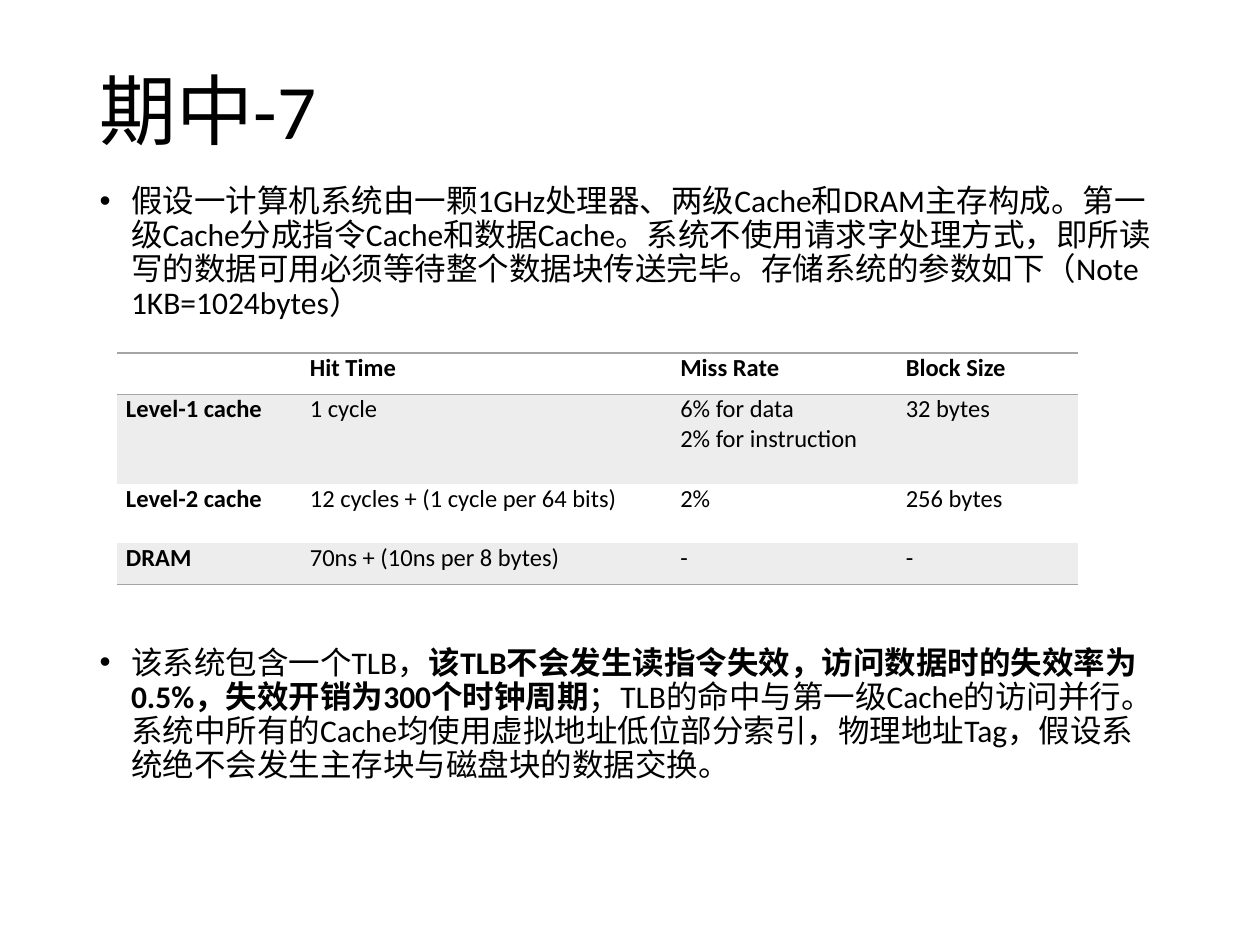
from lxml import etree
from pptx import Presentation
from pptx import util as u
from pptx.dml import color
from pptx.enum import text
from pptx.oxml import ns

FONT = "Calibri"
INK, GREY, BAND = "000000", "A5A5A5", "EDEDED"
INTRO = [
    ("假设一计算机系统由一颗1GHz处理器、两级Cache和DRAM主存构成。"
     "第一级Cache分成指令Cache和数据Cache。系统不使用请求字处理方式，"
     "即所读写的数据可用必须等待整个数据块传送完毕。"
     "存储系统的参数如下（Note 1KB=1024bytes）", False),
]
NOTES = [
    ("该系统包含一个TLB，", False),
    ("该TLB不会发生读指令失效，访问数据时的失效率为0.5%，"
     "失效开销为300个时钟周期", True),
    ("；TLB的命中与第一级Cache的访问并行。系统中所有的Cache均使用"
     "虚拟地址低位部分索引，物理地址Tag，"
     "假设系统绝不会发生主存块与磁盘块的数据交换。", False),
]
ROWS = [
    ["", "Hit Time", "Miss Rate", "Block Size"],
    ["Level-1 cache", "1 cycle", "6% for data\n2% for instruction", "32 bytes"],
    ["Level-2 cache", "12 cycles + (1 cycle per 64 bits)", "2%", "256 bytes"],
    ["DRAM", "70ns + (10ns per 8 bytes)", "-", "-"],
]
WIDTHS = [1.46, 2.94, 1.79, 1.44]
HEIGHTS = [0.33, 0.71, 0.47, 0.33]
RULED = {0, 1, len(ROWS)}


def rgb(code):
    return color.RGBColor.from_string(code)


def write(para, words, size=18, bold=False, ink=INK):
    run = para.add_run()
    run.text = words
    font = run.font
    font.name, font.size, font.bold = FONT, u.Pt(size), bold
    font.color.rgb = rgb(ink)


def place(shape, box):
    shape.left, shape.top, shape.width, shape.height = map(u.Inches, box)


def title(shape, box):
    place(shape, box)
    frame = shape.text_frame
    frame.auto_size = text.MSO_AUTO_SIZE.NONE
    frame.vertical_anchor = text.MSO_ANCHOR.MIDDLE
    para = frame.paragraphs[0]
    para.alignment = text.PP_ALIGN.LEFT
    para.line_spacing = 0.9
    write(para, "期中-7", size=44)


def body(shape, box):
    place(shape, box)
    frame = shape.text_frame
    frame.auto_size = text.MSO_AUTO_SIZE.NONE
    paras = [frame.paragraphs[0], frame.add_paragraph()]
    for para, parts, gap in zip(paras, [INTRO, NOTES], [10, 186]):
        para.line_spacing = 0.9
        para.space_before = u.Pt(gap)
        props = para._p.get_or_add_pPr()
        props.set("marL", str(u.Inches(0.25)))
        props.set("indent", str(u.Inches(-0.25)))
        for words, bold in parts:
            write(para, words, bold=bold)


def edge(cell, side, ink=None):
    props = cell._tc.get_or_add_tcPr()
    line = etree.Element(ns.qn("a:ln" + side), w=str(u.Pt(1)))
    if ink:
        fill = etree.SubElement(line, ns.qn("a:solidFill"))
        etree.SubElement(fill, ns.qn("a:srgbClr"), val=ink)
    else:
        etree.SubElement(line, ns.qn("a:noFill"))
    props.insert("LRTB".index(side), line)


def fill_cell(cell, row, col):
    cell.margin_left = cell.margin_right = u.Inches(0.07)
    cell.margin_top = cell.margin_bottom = 0
    if row % 2:
        cell.fill.solid()
        cell.fill.fore_color.rgb = rgb(BAND)
    else:
        cell.fill.background()
    rules = {"T": row, "B": row + 1}
    for side in "LRTB":
        edge(cell, side, GREY if rules.get(side) in RULED else None)
    frame = cell.text_frame
    for num, words in enumerate(ROWS[row][col].split("\n")):
        para = frame.add_paragraph() if num else frame.paragraphs[0]
        if words:
            write(para, words, size=14, bold=row == 0 or col == 0)


def grid(slide, box):
    frame = slide.shapes.add_table(len(ROWS), len(WIDTHS), *map(u.Inches, box))
    table = frame.table
    table.first_row = table.horz_banding = False
    for col, width in zip(table.columns, WIDTHS):
        col.width = u.Inches(width)
    for row, height in zip(table.rows, HEIGHTS):
        row.height = u.Inches(height)
    for row in range(len(ROWS)):
        for col in range(len(WIDTHS)):
            fill_cell(table.cell(row, col), row, col)


def main():
    deck = Presentation()
    deck.slide_width, deck.slide_height = u.Inches(10), u.Inches(7.5)
    slide = deck.slides.add_slide(deck.slide_layouts[1])
    title(slide.shapes.title, (0.69, 0.4, 8.62, 1.02))
    body(slide.placeholders[1], (0.69, 1.42, 8.62, 5.34))
    grid(slide, (0.93, 2.8, sum(WIDTHS), sum(HEIGHTS)))
    deck.save("out.pptx")


main()
